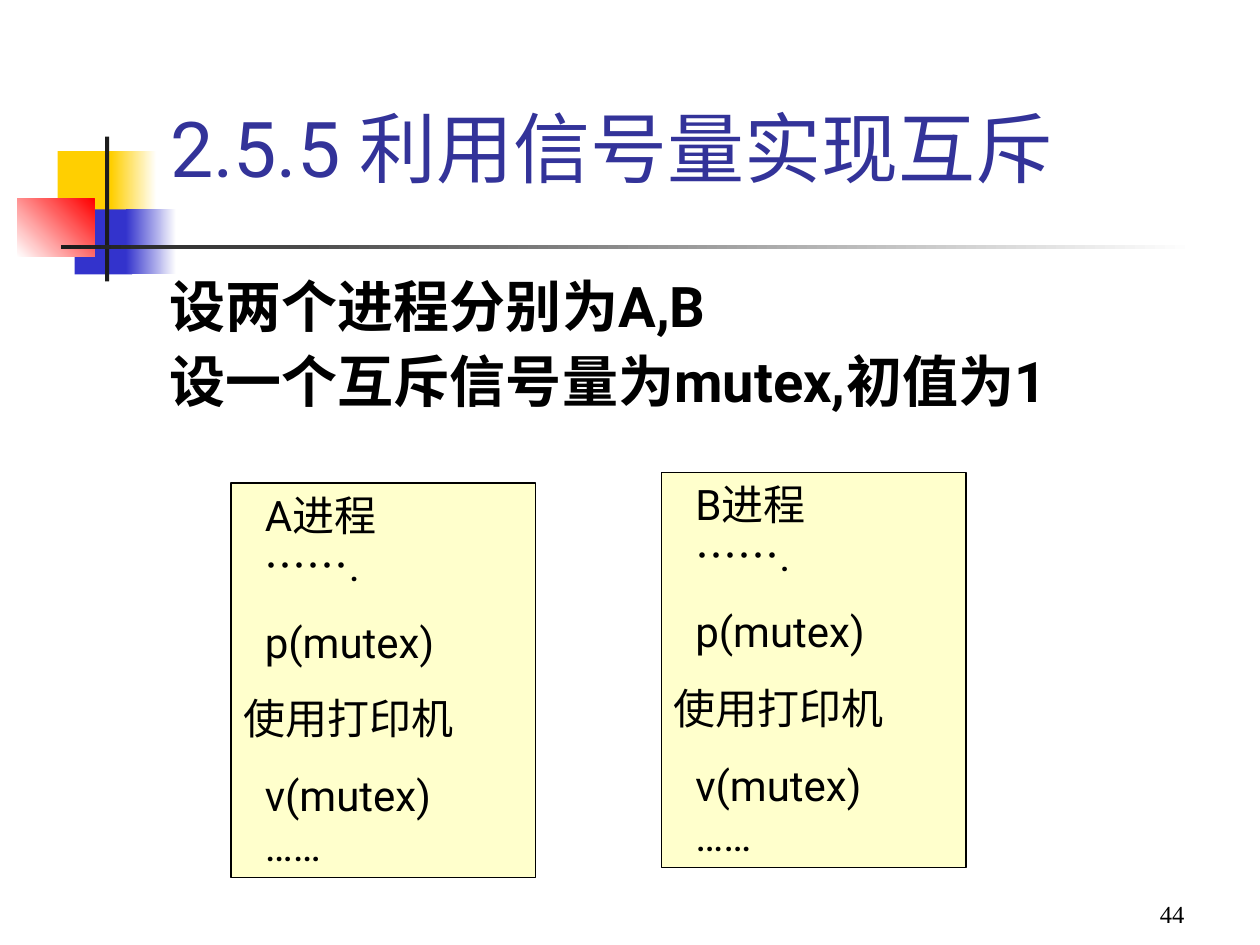
from lxml import etree
from pptx import Presentation
from pptx.dml.color import RGBColor
from pptx.enum.shapes import MSO_SHAPE
from pptx.enum.text import MSO_ANCHOR, MSO_AUTO_SIZE, PP_ALIGN
from pptx.oxml.ns import qn
from pptx.util import Inches, Pt

RECTANGLE = MSO_SHAPE.RECTANGLE
BOTTOM, TOP = MSO_ANCHOR.BOTTOM, MSO_ANCHOR.TOP
LEFT, RIGHT = PP_ALIGN.LEFT, PP_ALIGN.RIGHT
FIXED, GROW = MSO_AUTO_SIZE.NONE, MSO_AUTO_SIZE.SHAPE_TO_FIT_TEXT

SLIDE_WIDTH, SLIDE_HEIGHT = Inches(10), Inches(7.5)
COLUMNS, ROWS = 120, 90  # grid cells of 1/12 inch

YELLOW, BLUE, RED, WHITE = "FFCF01", "3333CC", "FF0000", "FFFFFF"
INK, BLACK, TITLE_BLUE, CREAM = "1C1C1C", "000000", "333399", "FFFFCC"


def rgb(value):
    return RGBColor.from_string(value)


class SlideBuilder:
    font = "Roboto"

    def __init__(self, slide):
        self.slide = slide

    def area(self, column, row, columns, rows):
        across, down = SLIDE_WIDTH / COLUMNS, SLIDE_HEIGHT / ROWS
        return (round(column * across), round(row * down),
                round(columns * across), round(rows * down))

    def block(self, cells, start, end=None, angle=0):
        """A borderless rectangle, solid or fading from start to end."""
        shape = self.slide.shapes.add_shape(RECTANGLE, *self.area(*cells))
        shape.shadow.inherit = False
        shape.line.fill.background()
        if end is None:
            shape.fill.solid()
            shape.fill.fore_color.rgb = rgb(start)
        else:
            shape.fill.gradient()
            shape.fill.gradient_angle = angle
            for stop, position, color in zip(shape.fill.gradient_stops, (0, 1), (start, end)):
                stop.position = position
                stop.color.rgb = rgb(color)
        return shape

    def fill_text(self, shape, lines, size, color=BLACK, font=None, bold=False,
                  align=LEFT, anchor=TOP, before=0, spacing=None, fit=FIXED):
        frame = shape.text_frame
        frame.word_wrap = True
        frame.auto_size = fit
        frame.vertical_anchor = anchor
        frame.text = "\n".join(lines)
        for index, paragraph in enumerate(frame.paragraphs):
            paragraph.alignment = align
            paragraph.space_before = Pt(before if index else 0)
            if spacing:
                paragraph.line_spacing = spacing
            paragraph.font.name = font or self.font
            paragraph.font.size = Pt(size)
            paragraph.font.bold = bold
            paragraph.font.color.rgb = rgb(color)
        return frame

    def title(self, cells, number, heading, tab):
        title = self.slide.shapes.title
        title.left, title.top, title.width, title.height = self.area(*cells)
        frame = title.text_frame
        properties = frame.paragraphs[0]._p.get_or_add_pPr()
        tabs = etree.SubElement(properties, qn("a:tabLst"))
        etree.SubElement(tabs, qn("a:tab"), pos=str(Inches(tab)), algn="l")
        self.fill_text(title, [f"{number}\t{heading}"], 44, TITLE_BLUE, anchor=BOTTOM)

    def text(self, cells, lines, size, **style):
        box = self.slide.shapes.add_textbox(*self.area(*cells))
        self.fill_text(box, lines, size, **style)

    def process(self, column, row, name):
        box = self.block((column, row, 29, 37.6), CREAM)
        box.line.color.rgb = rgb(BLACK)
        box.line.width = Pt(0.75)
        shared_step = "使用打印机"
        steps = [f"{name}进程\v…….", "p(mutex)", shared_step, "v(mutex)\v……"]
        frame = self.fill_text(box, steps, 24, before=15, fit=GROW)
        for paragraph in frame.paragraphs:
            if paragraph.text != shared_step:
                paragraph._p.get_or_add_pPr().set("marL", str(Inches(0.17)))


def main():
    deck = Presentation()
    deck.slide_width, deck.slide_height = SLIDE_WIDTH, SLIDE_HEIGHT
    builder = SlideBuilder(deck.slides.add_slide(deck.slide_layouts[5]))

    # Corner ornament and title rule
    builder.block((5.5, 14.4, 5.8, 6.2), YELLOW)
    builder.block((10.6, 14.4, 4.3, 6.2), YELLOW, WHITE)
    builder.block((7.1, 19.95, 5.5, 6.2), BLUE)
    builder.block((12, 19.95, 4.8, 6.2), BLUE, WHITE)
    builder.block((1.65, 18.95, 7.35, 5.5), WHITE, RED, angle=45)
    builder.block((10, 13, 0.4, 13.8), INK)
    builder.block((5.8, 23.35, 108, 0.4), INK, WHITE)

    # Title and assumptions
    builder.title((15, 9, 102, 10), "2.5.5", "利用信号量实现互斥", tab=1.8)
    builder.text((15, 26, 92, 23), ["设两个进程分别为A,B", "设一个互斥信号量为mutex,初值为1"],
                 32, bold=True, before=8, spacing=0.9)

    # The two processes
    for column, row, name in ((22, 46, "A"), (63, 45, "B")):
        builder.process(column, row, name)

    # Page number
    builder.text((89, 83, 25, 6), ["44"], 14, font="Times New Roman",
                 align=RIGHT, anchor=BOTTOM)

    deck.save("out.pptx")


if __name__ == "__main__":
    main()
